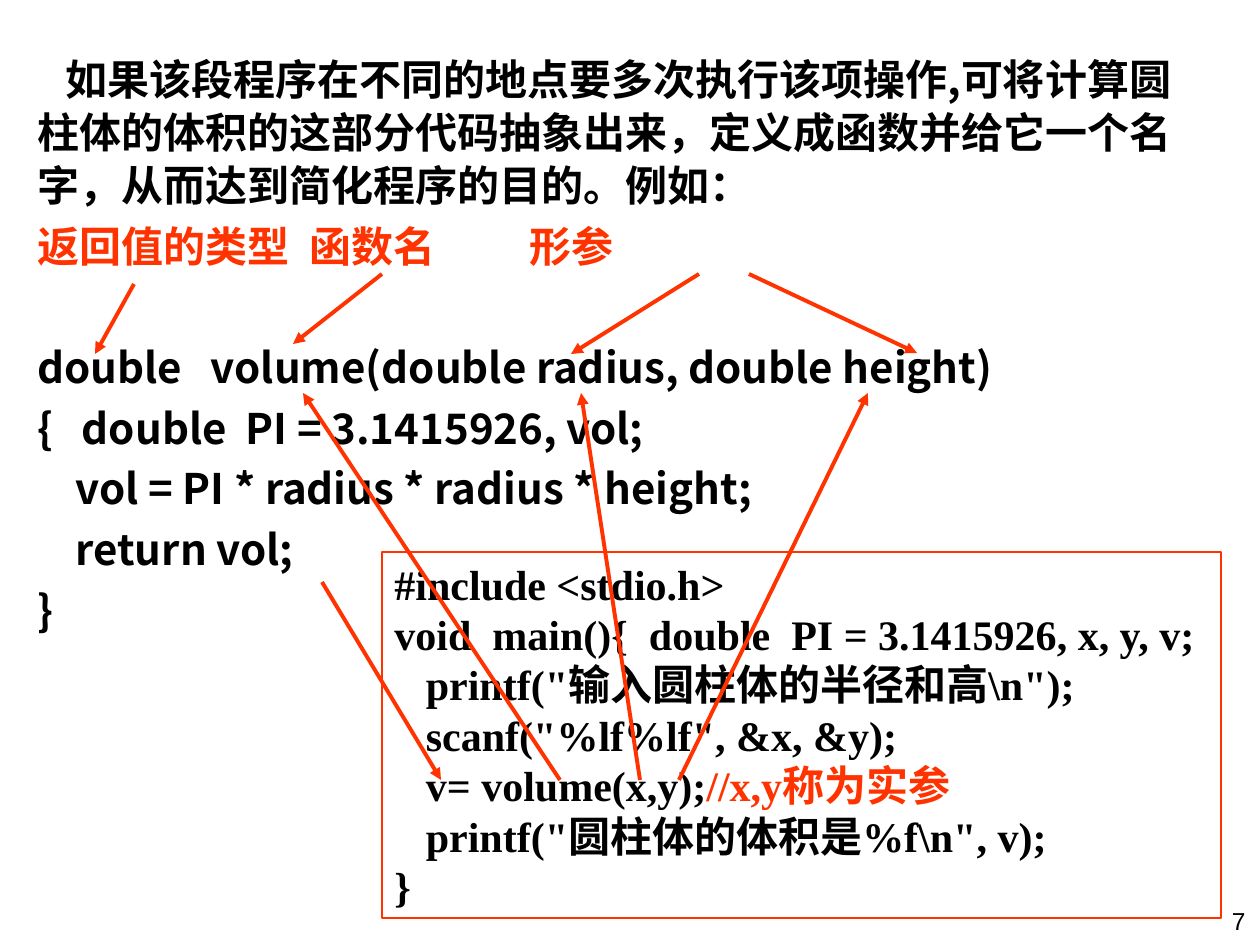
from typing import NamedTuple

from pptx import Presentation
from pptx.dml.color import RGBColor
from pptx.enum.shapes import MSO_CONNECTOR, MSO_SHAPE
from pptx.enum.text import MSO_ANCHOR, PP_ALIGN
from pptx.oxml.ns import qn
from pptx.util import Emu, Pt
from lxml.etree import SubElement

PX = 914400 / 126
RED, BLACK = "FF3300", "000000"
SANS, SERIF = "Noto Sans CJK SC", "Times New Roman"


class Area(NamedTuple):
    left: int
    top: int
    width: int
    height: int


class Arrow(NamedTuple):
    start_x: int
    start_y: int
    end_x: int
    end_y: int


class Span(NamedTuple):
    text: str
    colour: str = BLACK


class Line(NamedTuple):
    spans: tuple[Span, ...]
    before: float = 0
    indent: int = 0
    tabs: tuple[int, ...] = ()


def px(length: int) -> Emu:
    return Emu(round(length * PX))


def rgb(colour: str) -> RGBColor:
    return RGBColor.from_string(colour)


def write_text(box, lines: list[Line], *, font: str, size: int = 24, bold: bool = True,
               spacing: float = 1.0, align=PP_ALIGN.LEFT) -> None:
    frame = box.text_frame
    frame.word_wrap = True
    frame.vertical_anchor = MSO_ANCHOR.TOP
    for index, line in enumerate(lines):
        para = frame.paragraphs[0] if index == 0 else frame.add_paragraph()
        properties = para._p.get_or_add_pPr()
        if line.indent:
            properties.set("indent", str(px(line.indent)))
        if line.tabs:
            tab_list = SubElement(properties, qn("a:tabLst"))
            for position in line.tabs:
                SubElement(tab_list, qn("a:tab"), pos=str(px(position)), algn="l")
        para.alignment = align
        para.line_spacing = spacing
        para.space_before = Pt(line.before)
        for part in line.spans:
            span = para.add_run()
            span.text = part.text
            span.font.name = font
            span.font.size = Pt(size)
            span.font.bold = bold
            span.font.color.rgb = rgb(part.colour)
            SubElement(span._r.get_or_add_rPr(), qn("a:ea"), typeface=SANS)


def draw_arrows(page, arrows: list[Arrow]) -> None:
    for arrow in arrows:
        connector = page.shapes.add_connector(MSO_CONNECTOR.STRAIGHT, *map(px, arrow))
        connector.line.color.rgb = rgb(RED)
        connector.line.width = Pt(2.25)
        SubElement(connector.line._get_or_add_ln(), qn("a:tailEnd"), type="triangle")
        SubElement(connector._element.spPr, qn("a:effectLst"))


def draw_frame(page, area: Area):
    box = page.shapes.add_shape(MSO_SHAPE.RECTANGLE, *map(px, area))
    box.shadow.inherit = False
    box.fill.background()
    box.line.color.rgb = rgb(RED)
    box.line.width = Pt(0.75)
    return box


PAGE_NUMBER = Area(995, 900, 263, 45)
BODY = Area(25, 45, 1191, 655)
MAIN_PROGRAM = Area(382, 552, 839, 366)

INTRODUCTION = (
    "如果该段程序在不同的地点要多次执行该项操作,可将计算圆柱体的体积的这部分代码抽象出来，"
    "定义成函数并给它一个名字，从而达到简化程序的目的。例如："
)
FUNCTION_CODE = [
    "{   double  PI = 3.1415926, vol;",
    "    vol = PI * radius * radius * height;",
    "    return vol;",
    "}",
]
BODY_LINES = [
    Line((Span(INTRODUCTION),), indent=28),
    Line((Span("返回值的类型\t函数名\t形参", RED),), before=4.5, tabs=(272, 492)),
    Line((Span("double   volume(double radius, double height)"),), before=39),
    *(Line((Span(code),), before=4.5) for code in FUNCTION_CODE),
]
MAIN_LINES = [
    Line((Span("#include <stdio.h>"),)),
    Line((Span("void  main(){  double  PI = 3.1415926, x, y, v;"),)),
    Line((Span('   printf("输入圆柱体的半径和高\\n");'),)),
    Line((Span('   scanf("%lf%lf", &x, &y);'),)),
    Line((Span("   v= volume(x,y);"), Span("//x,y称为实参", RED))),
    Line((Span('   printf("圆柱体的体积是%f\\n", v);'),)),
    Line((Span("}"),)),
]
LABEL_ARROWS = [
    Arrow(382, 274, 293, 344),
    Arrow(134, 284, 95, 354),
    Arrow(699, 274, 571, 354),
    Arrow(749, 274, 917, 353),
]
CALL_ARROWS = [
    Arrow(560, 780, 303, 393),
    Arrow(640, 780, 581, 393),
    Arrow(679, 780, 868, 393),
    Arrow(322, 582, 441, 780),
]


def main() -> None:
    """Build the slide on function definition and calling."""
    deck = Presentation()
    deck.slide_width, deck.slide_height = px(1260), px(945)
    page = deck.slides.add_slide(deck.slide_layouts[6])
    number = page.shapes.add_textbox(*map(px, PAGE_NUMBER))
    write_text(number, [Line((Span("7"),))], font="Arial", size=14, bold=False,
               align=PP_ALIGN.RIGHT)
    body = page.shapes.add_textbox(*map(px, BODY))
    write_text(body, BODY_LINES, font=SANS, spacing=1.05)
    draw_arrows(page, LABEL_ARROWS)
    write_text(draw_frame(page, MAIN_PROGRAM), MAIN_LINES, font=SERIF)
    draw_arrows(page, CALL_ARROWS)
    deck.save("out.pptx")


if __name__ == "__main__":
    main()
